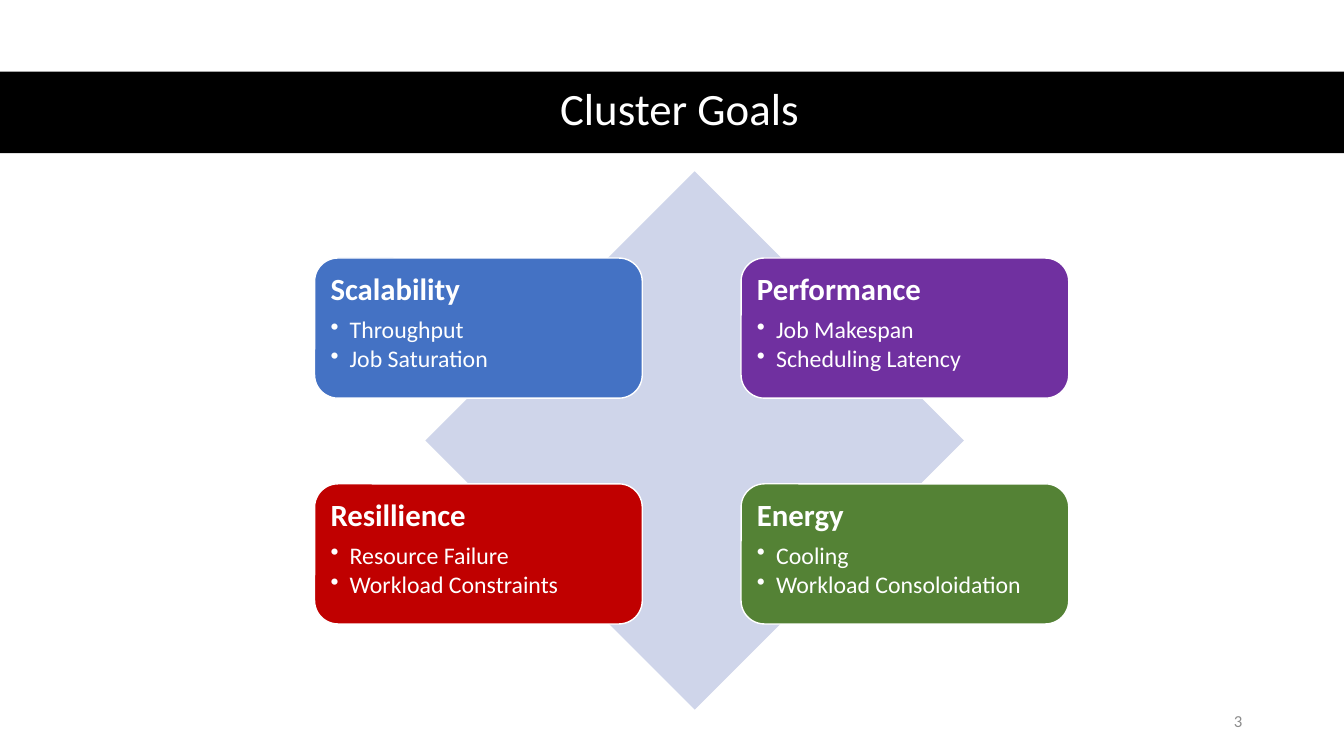
from dataclasses import dataclass

from lxml.etree import SubElement
from pptx import Presentation
from pptx.dml.color import RGBColor
from pptx.enum.shapes import MSO_SHAPE as Shape
from pptx.enum.text import MSO_ANCHOR as Anchor, PP_ALIGN as Align
from pptx.oxml.ns import qn
from pptx.util import Inches, Pt

FONT = "Calibri"
WHITE = "FFFFFF"
LEFT, TOP = 3.12, 2.56
STEP_X, STEP_Y = 4.23, 2.24
CARD_W, CARD_H = 3.25, 1.39
PAD = 0.09


@dataclass
class Goal:
    name: str
    items: list[str]
    color: str


GOALS = [
    Goal("Scalability", ["Throughput", "Job Saturation"], "4472C4"),
    Goal("Performance", ["Job Makespan", "Scheduling Latency"], "7030A0"),
    Goal("Resillience", ["Resource Failure", "Workload Constraints"], "C00000"),
    Goal("Energy", ["Cooling", "Workload Consoloidation"], "548235"),
]


def rgb(code: str) -> RGBColor:
    return RGBColor.from_string(code)


def box(slide, kind, x: float, y: float, w: float, h: float, color: str):
    shape = slide.shapes.add_shape(kind, Inches(x), Inches(y), Inches(w), Inches(h))
    shape.shadow.inherit = False
    shape.fill.solid()
    shape.fill.fore_color.rgb = rgb(color)
    shape.line.fill.background()
    return shape


def style(para, size: float, color: str, bold: bool = False) -> None:
    for run in para.runs:
        font = run.font
        font.name, font.size, font.bold = FONT, Pt(size), bold
        font.color.rgb = rgb(color)


def label(slide, text: str, x: float, y: float, w: float, h: float,
          size: float, color: str, align):
    frame = slide.shapes.add_textbox(
        Inches(x), Inches(y), Inches(w), Inches(h)).text_frame
    frame.word_wrap = True
    frame.vertical_anchor = Anchor.MIDDLE
    frame.text = text
    para = frame.paragraphs[0]
    para.alignment = align
    style(para, size, color)
    return para


def bullet(para) -> None:
    props = para._p.get_or_add_pPr()
    props.set("marL", str(Inches(0.19)))
    props.set("indent", str(Inches(-0.19)))
    SubElement(props, qn("a:buChar")).set("char", "•")


def card(slide, goal: Goal, x: float, y: float) -> None:
    shape = box(slide, Shape.ROUNDED_RECTANGLE, x, y, CARD_W, CARD_H, goal.color)
    shape.line.color.rgb = rgb(WHITE)
    shape.line.width = Pt(1)
    frame = shape.text_frame
    frame.word_wrap = True
    frame.vertical_anchor = Anchor.TOP
    frame.margin_left = frame.margin_right = Inches(PAD)
    frame.margin_top = frame.margin_bottom = Inches(PAD)
    frame.text = "\n".join([goal.name, *goal.items])
    for i, para in enumerate(frame.paragraphs):
        head = i == 0
        para.alignment = Align.LEFT
        para.line_spacing = 0.9
        para.space_after = Pt(7.7 if head else 2.55)
        style(para, 22 if head else 17, WHITE, head)
        if not head:
            para.level = 1
            bullet(para)


def main() -> None:
    deck = Presentation()
    deck.slide_width, deck.slide_height = Inches(13.33), Inches(7.5)
    slide = deck.slides.add_slide(deck.slide_layouts[6])

    # Title band
    box(slide, Shape.RECTANGLE, 0, 0.71, 13.33, 0.81, "000000")
    title = label(slide, "Cluster Goals", 0.61, 0.7, 12.26, 0.81,
                  32, WHITE, Align.CENTER)
    title.line_spacing = 0.9

    # Diamond with the four goals in a grid
    box(slide, Shape.DIAMOND, 4.22, 1.7, 5.34, 5.34, "CFD5EA")
    for i, goal in enumerate(GOALS):
        row, col = divmod(i, 2)
        card(slide, goal, LEFT + col * STEP_X, TOP + row * STEP_Y)

    # Page number
    label(slide, "3", 9.42, 6.95, 3, 0.4, 12, "8C8C8C", Align.RIGHT)

    deck.save("out.pptx")


if __name__ == "__main__":
    main()
